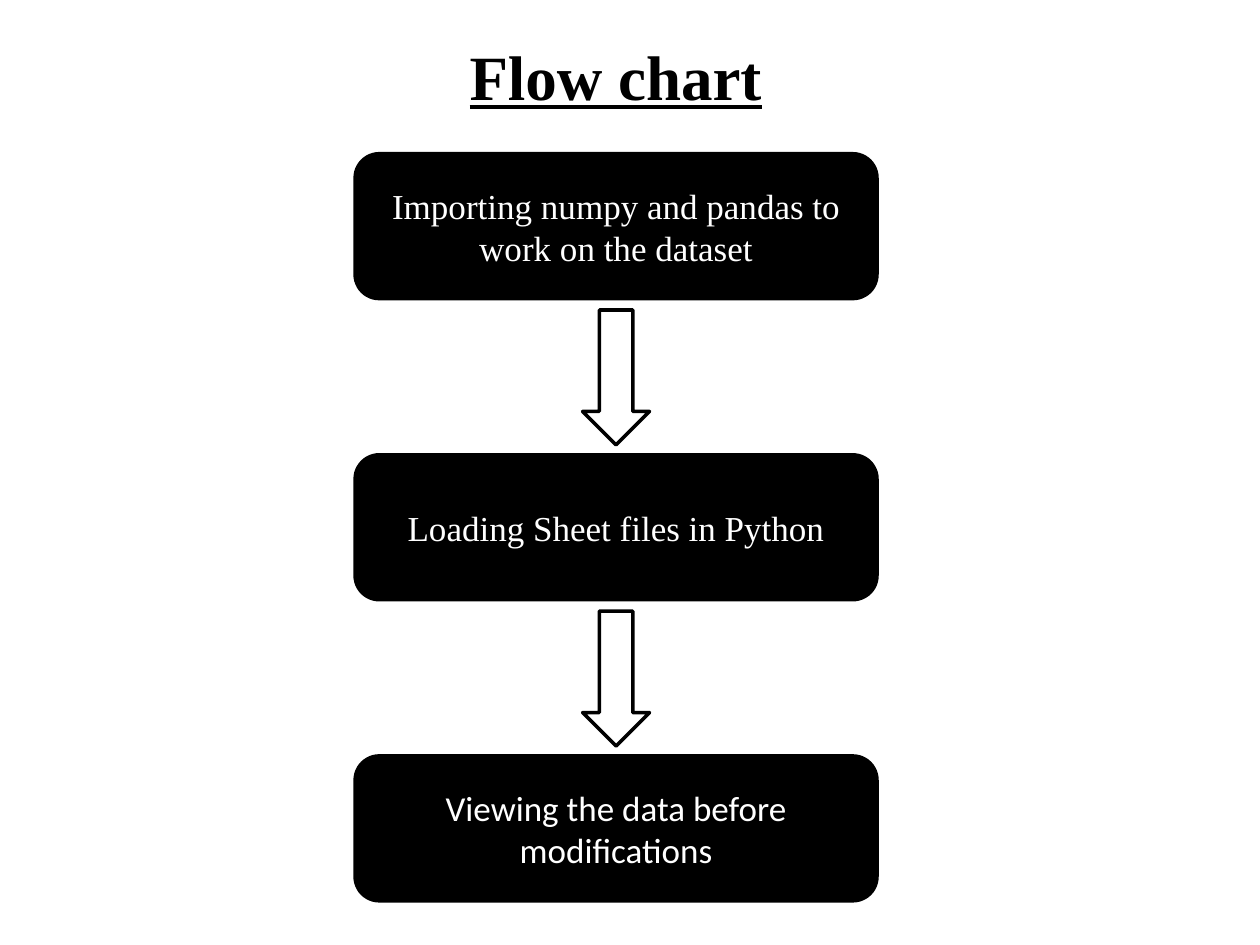
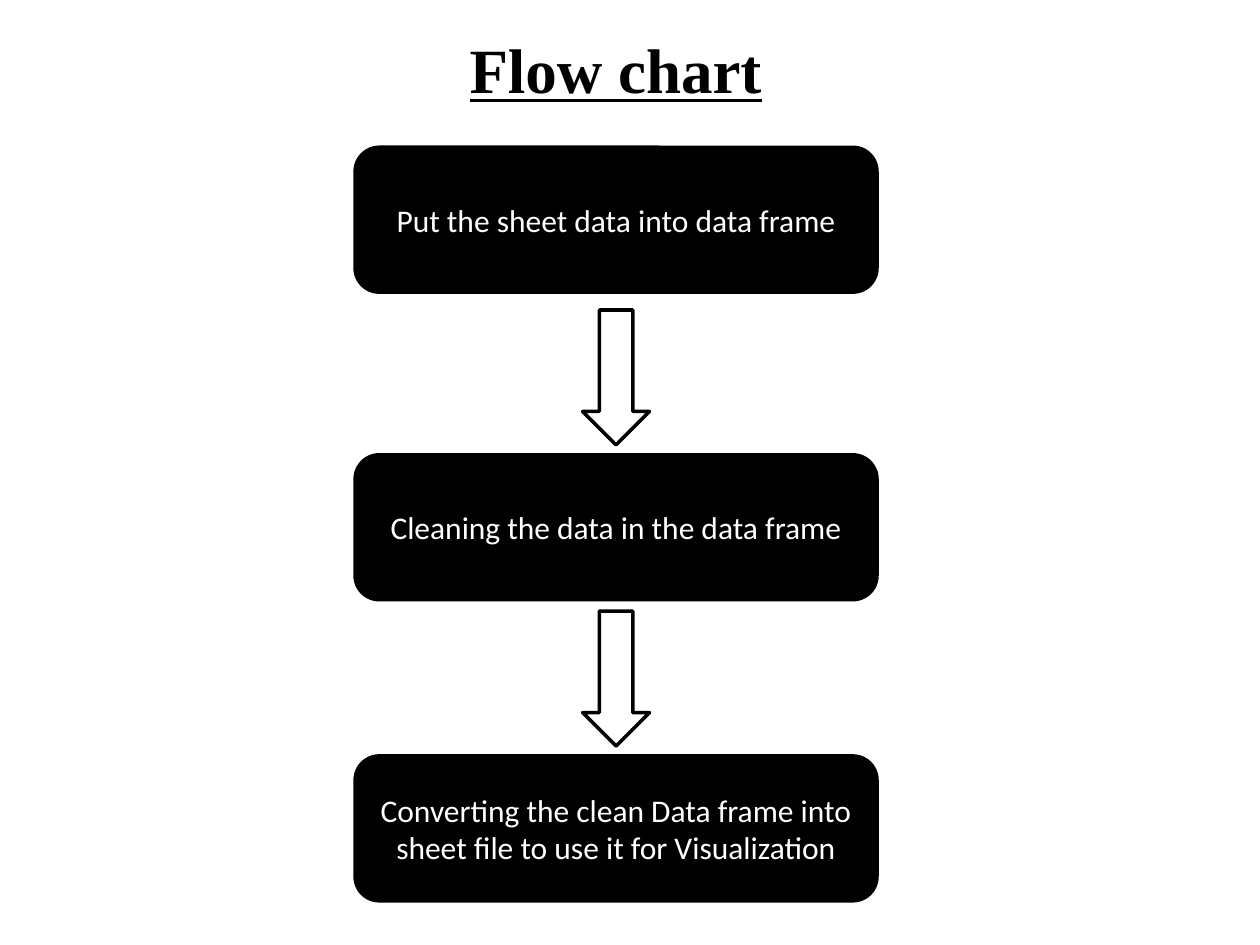
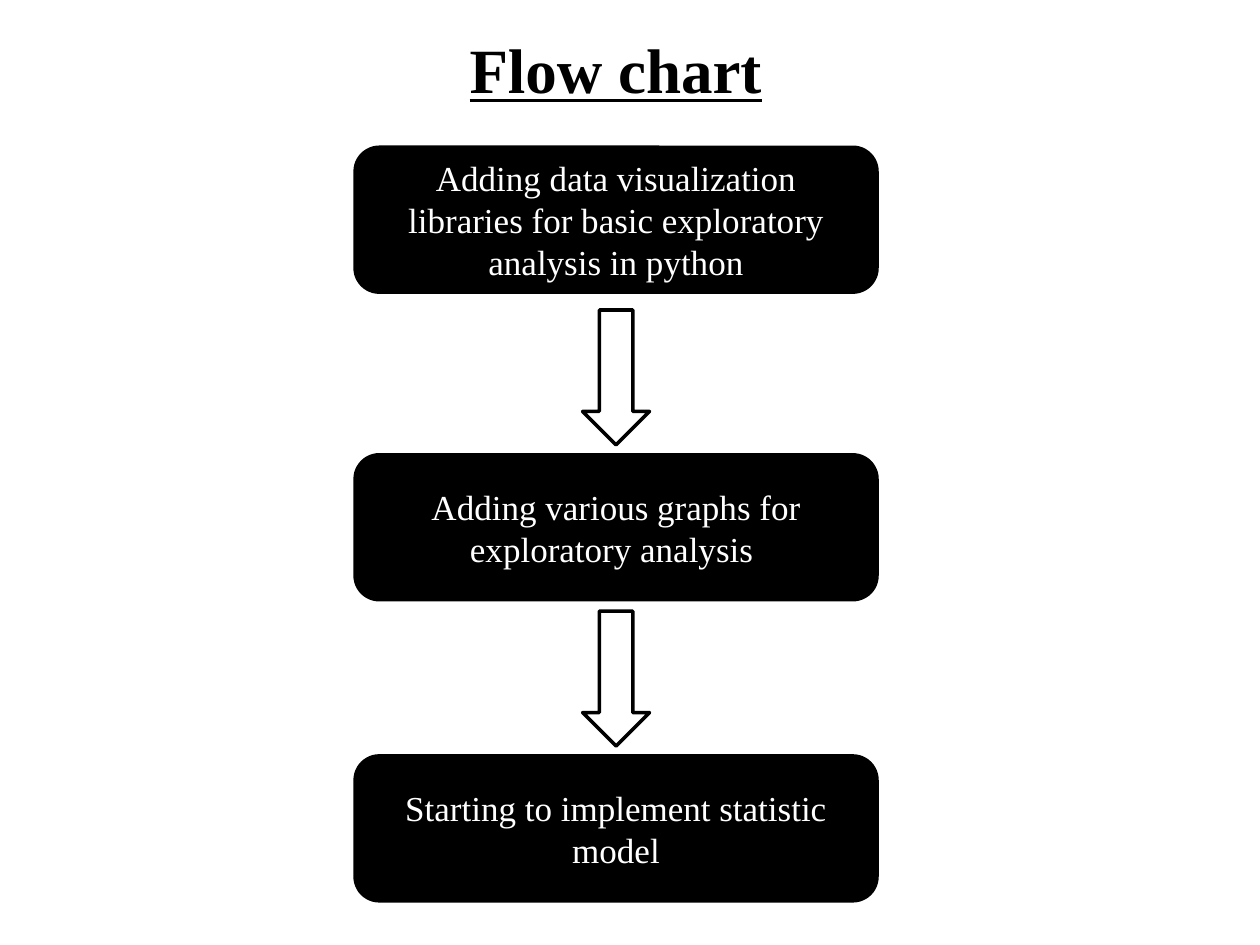
from dataclasses import dataclass

from pptx import Presentation
from pptx import util as u
from pptx.dml.color import RGBColor
from pptx.enum import shapes, text
from pptx.shapes.autoshape import Shape
from pptx.slide import Slide


@dataclass(frozen=True)
class Theme:
    ink: RGBColor = RGBColor(0x00, 0x00, 0x00)
    paper: RGBColor = RGBColor(0xFF, 0xFF, 0xFF)
    serif: str = "Times New Roman"
    sans: str = "Calibri"
    title_size: u.Pt = u.Pt(36)
    step_size: u.Pt = u.Pt(20)
    small_step_size: u.Pt = u.Pt(18)
    outline: u.Pt = u.Pt(2)


THEME = Theme()


@dataclass(frozen=True)
class Step:
    label: str
    font: str = THEME.serif
    size: u.Pt = THEME.step_size


@dataclass(frozen=True)
class Flow:
    steps: tuple[Step, ...]
    lift: u.Cm = u.Cm(0)  # how far the title and first step move up


# Layout: one column of steps at an equal pitch, an arrow in each gap
CENTRE = u.Cm(12.42)
FIRST_TOP, PITCH = u.Cm(3.1), u.Cm(6.07)
STEP_W, STEP_H = u.Cm(10.52), u.Cm(2.92)
ARROW_W, ARROW_H = u.Cm(1.35), u.Cm(2.72)
ARROW_DROP = u.Cm(3.15)  # from a step's top to the arrow below it
TITLE_LEFT, TITLE_TOP = u.Cm(0.98), u.Cm(-0.08)
TITLE_W, TITLE_H = u.Cm(22.86), u.Cm(3.18)

FLOWS = (
    Flow((
        Step("Importing numpy and pandas to work on the dataset"),
        Step("Loading Sheet files in Python"),
        Step("Viewing the data before modifications", THEME.sans),
    )),
    Flow((
        Step("Put the sheet data into data frame", THEME.sans, THEME.small_step_size),
        Step("Cleaning the data in the data frame", THEME.sans, THEME.small_step_size),
        Step("Converting the clean Data frame into sheet file to use it for Visualization",
             THEME.sans, THEME.small_step_size),
    ), lift=u.Cm(0.13)),
    Flow((
        Step("Adding data visualization libraries for basic exploratory analysis in python"),
        Step("Adding various graphs for exploratory analysis "),
        Step("Starting to implement statistic model"),
    ), lift=u.Cm(0.13)),
)


def add_title(s: Slide, lift: int) -> None:
    sp = s.shapes.title
    sp.left, sp.top, sp.width, sp.height = TITLE_LEFT, TITLE_TOP - lift, TITLE_W, TITLE_H
    tf = sp.text_frame
    tf.text = "Flow chart"
    tf.vertical_anchor = text.MSO_ANCHOR.MIDDLE
    p = tf.paragraphs[0]
    p.alignment = text.PP_ALIGN.CENTER
    p.font.name, p.font.size = THEME.serif, THEME.title_size
    p.font.bold = p.font.underline = True
    p.font.color.rgb = THEME.ink


def add_centred(s: Slide, kind: shapes.MSO_SHAPE, top: int, width: int, height: int,
                fill: RGBColor) -> Shape:
    """Add an outlined shape centred on the flow's column."""
    sp = s.shapes.add_shape(kind, CENTRE - width // 2, top, width, height)
    sp.shadow.inherit = False
    sp.fill.solid()
    sp.fill.fore_color.rgb = fill
    sp.line.color.rgb = THEME.ink
    sp.line.width = THEME.outline
    return sp


def add_step(s: Slide, step: Step, top: int) -> None:
    sp = add_centred(s, shapes.MSO_SHAPE.ROUNDED_RECTANGLE, top, STEP_W, STEP_H, THEME.ink)
    tf = sp.text_frame
    tf.text = step.label
    tf.word_wrap = True
    tf.vertical_anchor = text.MSO_ANCHOR.MIDDLE
    p = tf.paragraphs[0]
    p.alignment = text.PP_ALIGN.CENTER
    p.font.name, p.font.size = step.font, step.size
    p.font.color.rgb = THEME.paper


def add_flow(s: Slide, flow: Flow) -> None:
    add_title(s, flow.lift)
    for i, step in enumerate(flow.steps):
        top = FIRST_TOP + i * PITCH
        add_step(s, step, top - flow.lift if i == 0 else top)
        if i < len(flow.steps) - 1:
            add_centred(s, shapes.MSO_SHAPE.DOWN_ARROW, top + ARROW_DROP,
                        ARROW_W, ARROW_H, THEME.paper)


def main() -> None:
    prs = Presentation()
    prs.slide_width, prs.slide_height = u.Cm(25.4), u.Cm(19.05)
    title_only = prs.slide_layouts.get_by_name("Title Only")
    for flow in FLOWS:
        add_flow(prs.slides.add_slide(title_only), flow)
    prs.save("out.pptx")


if __name__ == "__main__":
    main()
